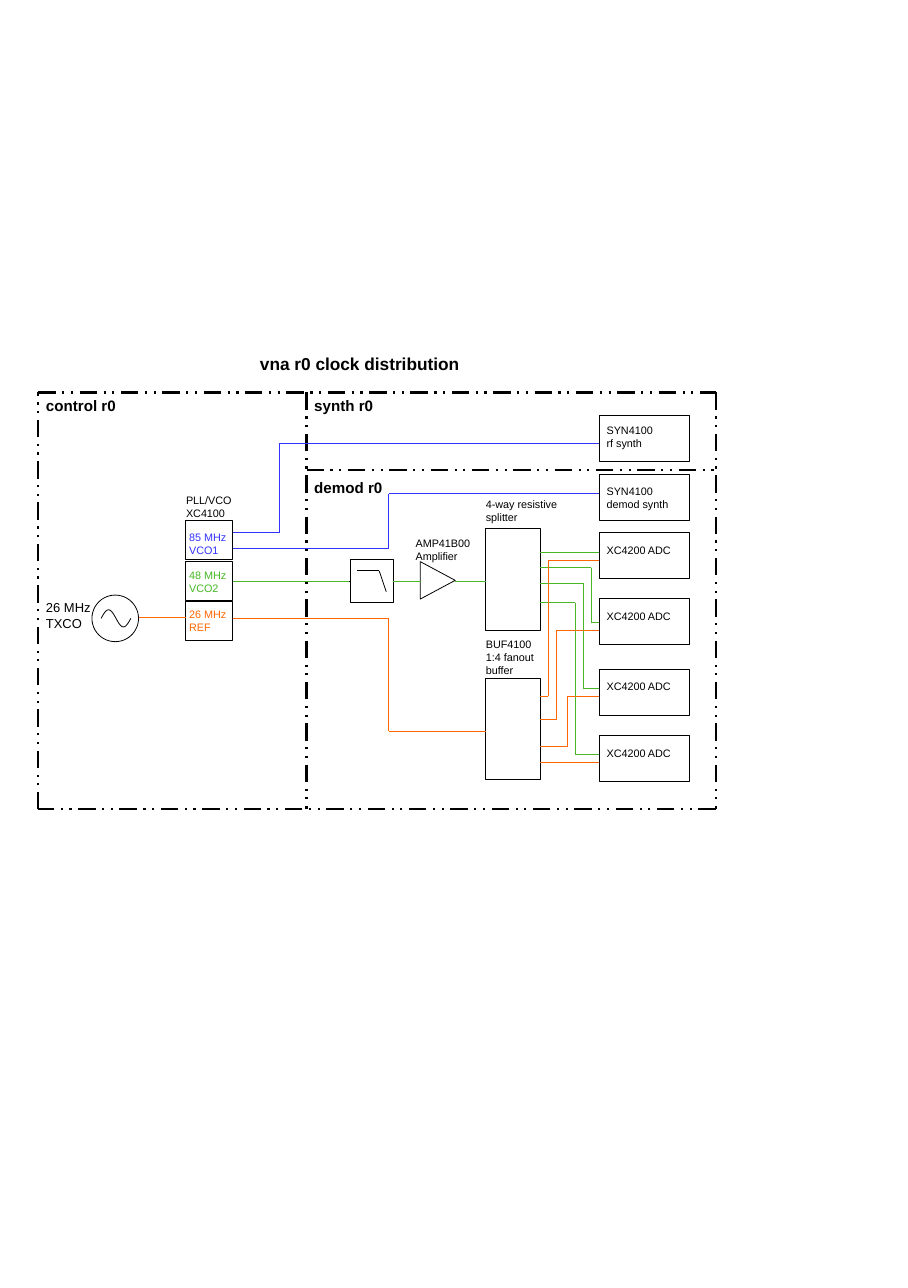
from itertools import pairwise
from math import pi, sin

from lxml import etree
from pptx import Presentation, util as u
from pptx.dml.color import RGBColor
from pptx.enum import dml, shapes, text
from pptx.oxml.ns import qn

HUES = {"black": "000000", "white": "FFFFFF", "blue": "3333FF",
        "green": "47B823", "orange": "FF6600"}
KIND = shapes.MSO_SHAPE

# Edges shared by the blocks and their wires, in cm
PLL, PLL_END = 6.06, 7.6
SPLIT, SPLIT_END = 15.85, 17.63
CHIP = 19.54
MID = 18.95
BEND = 12.68


def hue(name):
    return RGBColor.from_string(HUES[name])


def pen(line, name="black", width=0.75):
    line.color.rgb = hue(name)
    line.width = u.Pt(width)


def block(slide, kind, left, top, width, height, fill=None):
    shape = slide.shapes.add_shape(kind, *map(u.Cm, (left, top, width, height)))
    shape.shadow.inherit = False
    pen(shape.line)
    if fill:
        shape.fill.solid()
        shape.fill.fore_color.rgb = hue(fill)
    else:
        shape.fill.background()
    return shape


def label(slide, lines, left, top, width, size=10, name="black", bold=False):
    lines = lines.split("\n")
    height = len(lines) * size * 0.04 + 0.26
    box = slide.shapes.add_textbox(*map(u.Cm, (left, top, width, height)))
    frame = box.text_frame
    frame.word_wrap = True
    frame.auto_size = text.MSO_AUTO_SIZE.SHAPE_TO_FIT_TEXT
    for i, line in enumerate(lines):
        para = frame.add_paragraph() if i else frame.paragraphs[0]
        run = para.add_run()
        run.text = line
        run.font.name = "Arial"
        run.font.size = u.Pt(size)
        run.font.bold = bold
        run.font.color.rgb = hue(name)


def wire(slide, name, *points, dashed=False):
    """Join the points with straight segments."""
    for start, end in pairwise(points):
        seg = slide.shapes.add_connector(
            shapes.MSO_CONNECTOR.STRAIGHT, *map(u.Cm, start + end))
        pen(seg.line, name, 0 if dashed else 0.75)
        if dashed:
            seg.line.dash_style = dml.MSO_LINE.DASH_DOT_DOT
        etree.SubElement(seg._element.spPr, qn("a:effectLst"))


def clock(slide):
    """Draw the reference oscillator with its sine wave."""
    block(slide, KIND.OVAL, 3, 19.41, 1.52, 1.52, "white")
    left, mid, span, peak, steps = 3.3, 20.17, 0.97, 0.28, 32
    curve = [(u.Cm(left + span * i / steps),
              u.Cm(mid - peak * sin(2 * pi * i / steps)))
             for i in range(steps + 1)]
    path = slide.shapes.build_freeform(*curve[0])
    path.add_line_segments(curve[1:], close=False)
    wave = path.convert_to_shape()
    wave.shadow.inherit = False
    wave.fill.background()
    pen(wave.line)
    label(slide, "26 MHz\nTXCO", 1.25, 19.43, 2.05, size=12)


def pll(slide):
    label(slide, "PLL/VCO\nXC4100", 5.82, 15.98, 3.56)
    cells = [("85 MHz\nVCO1", "blue"), ("48 MHz\nVCO2", "green"),
             ("26 MHz\nREF", "orange")]
    for i, (words, name) in enumerate(cells):
        block(slide, KIND.RECTANGLE, PLL, 16.99 + 1.31 * i, 1.52, 1.27)
        label(slide, words, 5.92, 17.17 + 1.27 * i, 2.16, name=name)


def chain(slide):
    """Draw the low-pass filter, amplifier, splitter and buffer."""
    block(slide, KIND.RECTANGLE, 11.43, 18.26, 1.42, 1.4)
    wire(slide, "black", (10.95, MID), (11.43, MID))
    wire(slide, "black", (12.85, MID), (13.31, MID))
    wire(slide, "black", (12.6, 19.3), (12.37, 18.62), (11.66, 18.62))
    amp = block(slide, KIND.ISOSCELES_TRIANGLE, 13.67, 18.36, 1.22, 1.14, "white")
    amp.rotation = 90
    label(slide, "AMP41B00\nAmplifier", 13.31, 17.37, 2.41)
    for top in (17.25, 22.12):
        block(slide, KIND.RECTANGLE, SPLIT, top, 1.78, 3.3)
    label(slide, "4-way resistive splitter", 15.6, 16.1, 3.05)
    label(slide, "BUF4100\n1:4 fanout buffer", 15.6, 20.68, 2.41)


def chips(slide):
    rows = [("SYN4100\nrf synth", 13.56, 0.13),
            ("SYN4100\ndemod synth", 15.47, 0.23)]
    rows += [("XC4200 ADC", top, 0.24) for top in (17.37, 19.53, 21.82, 23.98)]
    for words, top, drop in rows:
        block(slide, KIND.RECTANGLE, 19.56, top, 2.92, 1.5)
        label(slide, words, CHIP, top + drop, 2.79)


def zones(slide):
    left, split, right = 1.25, 10, 23.35
    top, cut, base = 12.8, 15.34, 26.4
    wire(slide, "black", (left, top), (right, top), (right, base),
         (left, base), (left, top), dashed=True)
    wire(slide, "black", (split, top), (split, base), dashed=True)
    wire(slide, "black", (split, cut), (right, cut), dashed=True)
    label(slide, "vna r0 clock distribution", 8.23, 11.4, 8.13, 16, bold=True)
    for words, x, y in (("control r0", left, top), ("synth r0", split, top),
                        ("demod r0", split, 15.47)):
        label(slide, words, x, y, 3.18, 14, bold=True)


def fan(slide, name, routes):
    """Lead each output to its chip by way of a bend."""
    for start, bend, end in routes:
        wire(slide, name, (SPLIT_END, start), (bend, start),
             (bend, end), (CHIP, end))


def wires(slide):
    for start, bend, end in ((17.37, 9.12, 14.45), (17.88, BEND, 16.1)):
        wire(slide, "blue", (PLL_END, start), (bend, start),
             (bend, end), (CHIP, end))
    for start, end in ((PLL_END, 11.4), (12.83, 13.72), (14.83, SPLIT)):
        wire(slide, "green", (start, MID), (end, MID))
    wire(slide, "orange", (4.55, 20.14), (PLL, 20.14))
    wire(slide, "orange", (PLL_END, 20.16), (BEND, 20.16),
         (BEND, 23.85), (SPLIT, 23.85))
    wire(slide, "green", (SPLIT_END, 18.01), (CHIP, 18.01))
    fan(slide, "green", [(18.52, 19.28, 20.3), (19.03, 19.03, 22.46),
                         (19.66, 18.77, 24.62)])
    fan(slide, "orange", [(22.71, 17.88, 18.27), (23.47, 18.14, 20.55),
                          (24.36, 18.52, 22.71)])
    wire(slide, "orange", (SPLIT_END, 24.87), (CHIP, 24.87))


def main():
    deck = Presentation()
    deck.slide_width, deck.slide_height = u.Cm(29.62), u.Cm(42.01)
    slide = deck.slides.add_slide(deck.slide_layouts[6])
    for draw in (clock, pll, chain, chips, zones, wires):
        draw(slide)
    deck.save("out.pptx")


if __name__ == "__main__":
    main()
